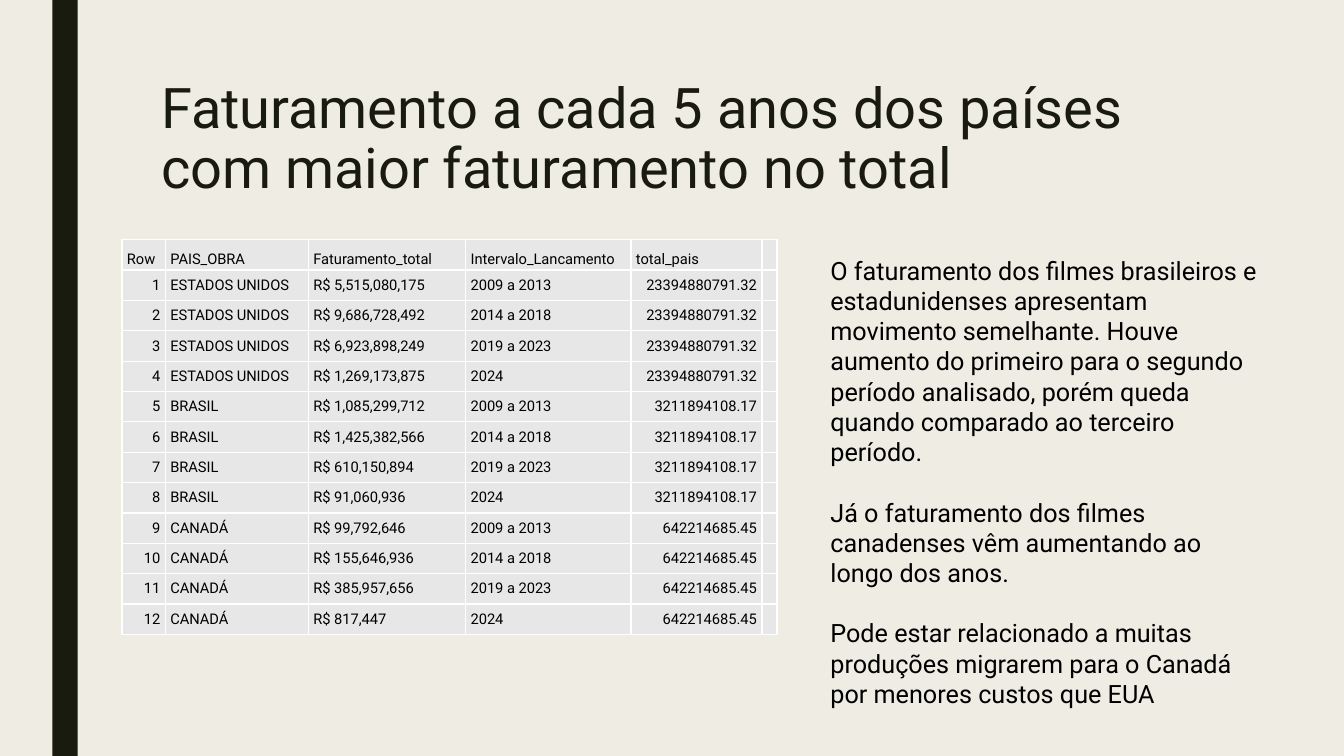
from lxml.etree import SubElement
from pptx import Presentation
from pptx.dml.color import RGBColor
from pptx.enum.shapes import MSO_SHAPE as Shape
from pptx.enum.text import MSO_ANCHOR as Anchor, PP_ALIGN as Align
from pptx.oxml import parse_xml
from pptx.oxml.ns import nsdecls, qn
from pptx.util import Pt

COLORS = {
    "background": "EFEDE3",
    "dark": "191B0E",
    "text": "000000",
    "cell": "E7E7E7",
    "border": "FFFFFF",
}
TITLE = "Faturamento a cada 5 anos dos países com maior faturamento no total"
HEADERS = ["Row", "PAIS_OBRA", "Faturamento_total", "Intervalo_Lancamento", "total_pais", ""]
PERIODS = ["2009 a 2013", "2014 a 2018", "2019 a 2023", "2024"]
COUNTRIES = [
    ("ESTADOS UNIDOS", "23394880791.32",
     ["5,515,080,175", "9,686,728,492", "6,923,898,249", "1,269,173,875"]),
    ("BRASIL", "3211894108.17",
     ["1,085,299,712", "1,425,382,566", "610,150,894", "91,060,936"]),
    ("CANADÁ", "642214685.45",
     ["99,792,646", "155,646,936", "385,957,656", "817,447"]),
]
COLUMN_WIDTHS = [30.96, 102.24, 112.32, 118.08, 93.6, 10.8]
RIGHT_ALIGNED = (0, 4)
ROW_HEIGHT = 21.7
COMMENTS = [
    "O faturamento dos filmes brasileiros e estadunidenses apresentam movimento semelhante. "
    "Houve aumento do primeiro para o segundo período analisado, porém queda quando "
    "comparado ao terceiro período.",
    "Já o faturamento dos filmes canadenses vêm aumentando ao longo dos anos.",
    "Pode estar relacionado a muitas produções migrarem para o Canadá por menores custos que EUA",
]


class SlideBuilder:
    def __init__(self, slide, font="Roboto"):
        self.slide = slide
        self.font = font

    def color(self, name):
        return RGBColor.from_string(COLORS[name])

    def paint(self, fill, color):
        fill.solid()
        fill.fore_color.rgb = self.color(color)

    def background(self, color):
        self.paint(self.slide.background.fill, color)

    def bar(self, left, top, width, height, color):
        shape = self.slide.shapes.add_shape(
            Shape.RECTANGLE, Pt(left), Pt(top), Pt(width), Pt(height))
        shape.shadow.inherit = False
        self.paint(shape.fill, color)
        shape.line.fill.background()

    def run(self, paragraph, text, size, color):
        run = paragraph.add_run()
        run.text = text
        run.font.size = Pt(size)
        run.font.name = self.font
        run.font.color.rgb = self.color(color)

    def text(self, left, top, width, height, paragraphs, size, color,
             line_spacing=1.0, gap=0):
        box = self.slide.shapes.add_textbox(Pt(left), Pt(top), Pt(width), Pt(height))
        frame = box.text_frame
        frame.word_wrap = True
        for index, content in enumerate(paragraphs):
            paragraph = frame.add_paragraph() if index else frame.paragraphs[0]
            paragraph.line_spacing = line_spacing
            if index:
                paragraph.space_before = Pt(gap)
            self.run(paragraph, content, size, color)

    def borders(self, cell, color, width):
        properties = cell._tc.get_or_add_tcPr()
        for index, side in enumerate(("lnL", "lnR", "lnT", "lnB")):
            properties.insert(index, parse_xml(
                f'<a:{side} {nsdecls("a")} w="{Pt(width)}"><a:solidFill>'
                f'<a:srgbClr val="{COLORS[color]}"/></a:solidFill></a:{side}>'))

    def cell(self, cell, content, size, anchor, align):
        cell.margin_left = cell.margin_right = Pt(3.6)
        cell.margin_top = cell.margin_bottom = Pt(1.44)
        cell.vertical_anchor = anchor
        self.paint(cell.fill, "cell")
        self.borders(cell, "border", 1)
        paragraph = cell.text_frame.paragraphs[0]
        paragraph.alignment = align
        if content:
            self.run(paragraph, content, size, "text")
        else:
            # An empty cell keeps its row low only with a small end mark.
            SubElement(paragraph._p, qn("a:endParaRPr"), sz=str(int(size * 100)))

    def table(self, left, top, widths, row_height, rows, size):
        frame = self.slide.shapes.add_table(
            len(rows), len(widths), Pt(left), Pt(top),
            Pt(sum(widths)), Pt(row_height * len(rows)))
        table = frame.table
        table.first_row = table.horz_banding = False
        for column, width in zip(table.columns, widths):
            column.width = Pt(width)
        for row_index, values in enumerate(rows):
            table.rows[row_index].height = Pt(row_height)
            anchor = Anchor.MIDDLE if row_index else Anchor.BOTTOM
            for column_index, content in enumerate(values):
                to_right = row_index and column_index in RIGHT_ALIGNED
                self.cell(table.cell(row_index, column_index), content, size, anchor,
                          Align.RIGHT if to_right else Align.LEFT)


def revenue_rows():
    rows = [HEADERS]
    for country, total, revenues in COUNTRIES:
        for period, revenue in zip(PERIODS, revenues):
            rows.append([str(len(rows)), country, f"R$ {revenue}", period, total, ""])
    return rows


def main():
    presentation = Presentation()
    presentation.slide_width = Pt(960)
    presentation.slide_height = Pt(540)
    builder = SlideBuilder(presentation.slides.add_slide(presentation.slide_layouts[6]))
    builder.background("background")
    builder.bar(37.44, 0, 18, 540, "dark")
    builder.text(108, 54, 756, 116.64, [TITLE], 40, "dark", line_spacing=0.89)
    builder.table(87.12, 171.2, COLUMN_WIDTHS, ROW_HEIGHT, revenue_rows(), 10.5)
    builder.text(586.08, 178.56, 318.96, 312.48, COMMENTS, 18, "text", gap=21.6)
    presentation.save("out.pptx")


if __name__ == "__main__":
    main()
